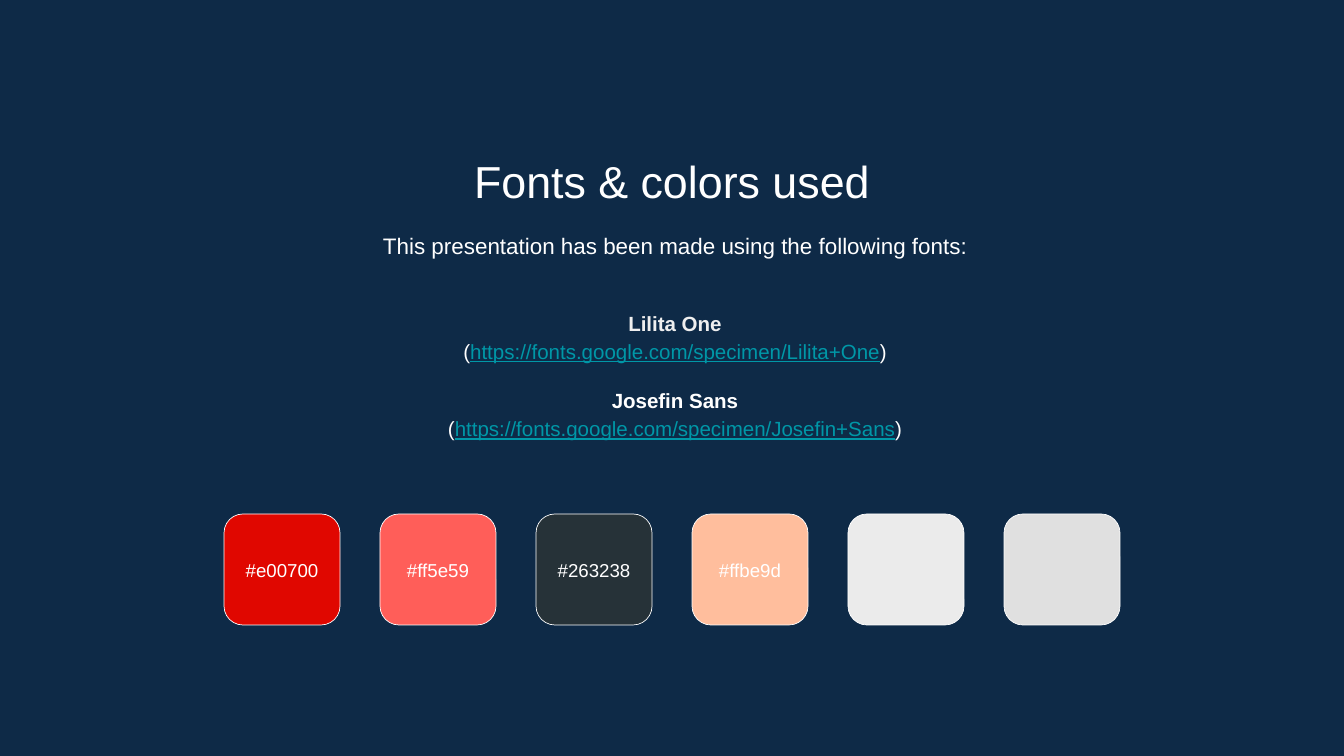
from typing import NamedTuple

from pptx import Presentation
from pptx.dml.color import RGBColor as Rgb
from pptx.enum.shapes import MSO_SHAPE as Kind
from pptx.enum.text import MSO_ANCHOR as Anchor, MSO_AUTO_SIZE as Fit, PP_ALIGN as Align
from pptx.util import Emu, Pt

SCALE = 914400 * 20 / 1344  # EMU in one px
FONT = "Arial"
COLORS = {
    "back": "0E2A47",
    "white": "FFFFFF",
    "pale": "EFEFEF",
    "link": "0097A7",
}


class Box(NamedTuple):
    left: int
    top: int
    width: int
    height: int


class Run(NamedTuple):
    text: str
    color: str = "white"
    bold: bool = False
    under: bool = False


class Para(NamedTuple):
    runs: list[Run]
    before: int = 0


class Swatch(NamedTuple):
    color: str
    label: str = ""


# White labels only where the fill is dark enough to read them
SWATCHES = [
    Swatch("E00700", "#e00700"),
    Swatch("FF5E59", "#ff5e59"),
    Swatch("263238", "#263238"),
    Swatch("FFBE9D", "#ffbe9d"),
    Swatch("EBEBEB"),
    Swatch("E0E0E0"),
]


def px(n: float) -> Emu:
    return Emu(round(n * SCALE))


def rgb(code: str) -> Rgb:
    return Rgb.from_string(code)


def write(shape, paras: list[Para], *, size: int, spacing: float = 1.0,
          anchor=Anchor.TOP) -> None:
    frame = shape.text_frame
    frame.word_wrap = True
    frame.auto_size = Fit.NONE
    frame.vertical_anchor = anchor
    frame.margin_left = frame.margin_right = px(13)
    frame.margin_top = frame.margin_bottom = px(13)
    for i, item in enumerate(paras):
        para = frame.add_paragraph() if i else frame.paragraphs[0]
        para.alignment = Align.CENTER
        para.line_spacing = spacing
        para.space_before = Pt(item.before)
        for part in item.runs:
            run = para.add_run()
            run.text = part.text
            font = run.font
            font.name, font.size = FONT, Pt(size)
            font.bold, font.underline = part.bold, part.under
            font.color.rgb = rgb(COLORS[part.color])


def add_text(slide, box: Box, paras: list[Para], **style) -> None:
    write(slide.shapes.add_textbox(*map(px, box)), paras, **style)


def add_swatch(slide, box: Box, swatch: Swatch) -> None:
    tile = slide.shapes.add_shape(Kind.ROUNDED_RECTANGLE, *map(px, box))
    tile.adjustments[0] = 0.17
    tile.shadow.inherit = False
    tile.fill.solid()
    tile.fill.fore_color.rgb = rgb(swatch.color)
    tile.line.color.rgb = rgb(COLORS["white"])
    tile.line.width = Pt(0.75)
    if swatch.label:
        area = Box(box.left, box.top + 24, box.width, 64)
        add_text(slide, area, [Para([Run(swatch.label)])], size=20,
                 anchor=Anchor.MIDDLE)


def link(url: str) -> Para:
    return Para([Run("("), Run(url, "link", under=True), Run(")")])


def main() -> None:
    deck = Presentation()
    deck.slide_width, deck.slide_height = px(1344), px(756)
    slide = deck.slides.add_slide(deck.slide_layouts[5])
    slide.background.fill.solid()
    slide.background.fill.fore_color.rgb = rgb(COLORS["back"])

    # Title
    title = slide.shapes.title
    title.left, title.top, title.width, title.height = map(px, Box(154, 141, 1036, 71))
    write(title, [Para([Run("Fonts & colors used")])], size=48)

    # Fonts
    intro = "This presentation has been made using the following fonts:"
    add_text(slide, Box(157, 215, 1036, 65), [Para([Run(intro)])], size=24, spacing=1.15)
    fonts = [
        Para([Run("Lilita One", "pale", bold=True)]),
        link("https://fonts.google.com/specimen/Lilita+One"),
        Para([Run("Josefin Sans", bold=True)], before=22),
        link("https://fonts.google.com/specimen/Josefin+Sans"),
    ]
    add_text(slide, Box(157, 282, 1036, 184), fonts, size=22, spacing=1.15,
             anchor=Anchor.MIDDLE)

    # Colours
    for i, swatch in enumerate(SWATCHES):
        add_swatch(slide, Box(224 + 156 * i, 514, 116, 111), swatch)

    deck.save("out.pptx")


if __name__ == "__main__":
    main()
